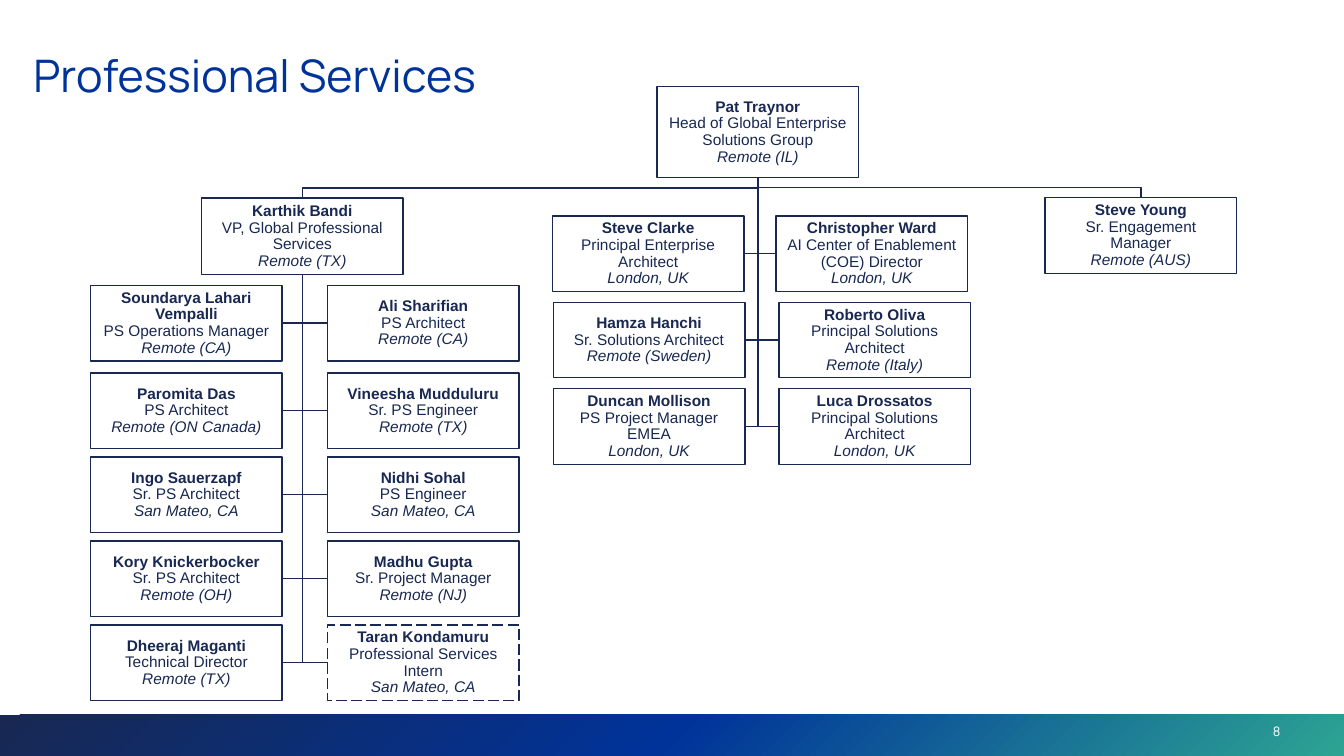
from copy import deepcopy

from pptx import Presentation
from pptx.dml.color import RGBColor
from pptx.enum.dml import MSO_LINE
from pptx.enum.shapes import MSO_CONNECTOR, MSO_SHAPE
from pptx.enum.text import MSO_ANCHOR, PP_ALIGN
from pptx.oxml.ns import qn
from pptx.util import Pt
from lxml import etree

COLORS = {"navy": "182852", "blue": "003399", "teal": "2DA493", "white": "FFFFFF"}
SLIDE_W, SLIDE_H = 960, 540
BAR_H = 29.5
CARD_W, CARD_H = 136.8, 54
BOSS_W = 144
BOTTOM, LEFT, RIGHT, TOP = 2, 1, 3, 0

SERVICES_TOPS = [203.8] + [266.4 + 60 * i for i in range(4)]
SERVICES_LEFTS = [(64.8, 234)] * 5
SERVICES = [
    (("Soundarya Lahari Vempalli", "PS Operations Manager", "Remote (CA)"),
     ("Ali Sharifian", "PS Architect", "Remote (CA)")),
    (("Paromita Das", "PS Architect", "Remote (ON Canada)"),
     ("Vineesha Mudduluru", "Sr. PS Engineer", "Remote (TX)")),
    (("Ingo Sauerzapf", "Sr. PS Architect", "San Mateo, CA"),
     ("Nidhi Sohal", "PS Engineer", "San Mateo, CA")),
    (("Kory Knickerbocker", "Sr. PS Architect", "Remote (OH)"),
     ("Madhu Gupta", "Sr. Project Manager", "Remote (NJ)")),
    (("Dheeraj Maganti", "Technical Director", "Remote (TX)"),
     ("Taran Kondamuru", "Professional Services Intern", "San Mateo, CA")),
]

SOLUTIONS_TOPS = [154.2 + 61.7 * i for i in range(3)]
SOLUTIONS_LEFTS = [(394.6, 554.4)] + [(395.3, 556.4)] * 2
SOLUTIONS = [
    (("Steve Clarke", "Principal Enterprise Architect", "London, UK"),
     ("Christopher Ward", "AI Center of Enablement (COE) Director", "London, UK")),
    (("Hamza Hanchi", "Sr. Solutions Architect", "Remote (Sweden)"),
     ("Roberto Oliva", "Principal Solutions Architect", "Remote (Italy)")),
    (("Duncan Mollison", "PS Project Manager EMEA", "London, UK"),
     ("Luca Drossatos", "Principal Solutions Architect", "London, UK")),
]


def rgb(name):
    return RGBColor.from_string(COLORS[name])


def write(p, text, size=11, font="Arial", color="navy", bold=False, italic=False,
          align=PP_ALIGN.LEFT, spacing=None):
    p.alignment = align
    if spacing:
        p.line_spacing = spacing
    r = p.add_run()
    r.text = text
    r.font.size = Pt(size)
    r.font.name = font
    r.font.bold = bold
    r.font.italic = italic
    r.font.color.rgb = rgb(color)


def set_frame(tf, inset, anchor):
    tf.word_wrap = True
    tf.vertical_anchor = anchor
    tf.margin_left = tf.margin_right = tf.margin_top = tf.margin_bottom = Pt(inset)


def add_title(s, text):
    title = s.shapes.title
    title.left, title.top, title.width, title.height = Pt(16.6), Pt(26.6), Pt(865.4), Pt(60.5)
    set_frame(title.text_frame, 7.2, MSO_ANCHOR.TOP)
    write(title.text_frame.paragraphs[0], text, size=32, font="Manrope", color="blue")


def add_footer(s, number):
    bar = s.shapes.add_shape(MSO_SHAPE.RECTANGLE, 0, Pt(SLIDE_H - BAR_H),
                             Pt(SLIDE_W), Pt(BAR_H))
    bar.shadow.inherit = False
    bar.line.fill.background()
    bar.fill.gradient()
    bar.fill.gradient_angle = 315
    stop_list = bar._element.spPr.find(".//" + qn("a:gsLst"))
    stop_list.insert(1, deepcopy(stop_list[0]))
    for i, (stop, name) in enumerate(zip(bar.fill.gradient_stops, ("navy", "blue", "teal"))):
        stop.position = i / 2
        stop.color.rgb = rgb(name)
    box = s.shapes.add_textbox(Pt(902.2), Pt(511.2), Pt(57.6), Pt(28.8))
    set_frame(box.text_frame, 7.2, MSO_ANCHOR.TOP)
    write(box.text_frame.paragraphs[0], number, size=9.3, font="Manrope", color="white")


def add_card(s, person, left, top, width=CARD_W, height=CARD_H, dashed=False):
    sp = s.shapes.add_shape(MSO_SHAPE.RECTANGLE, Pt(left), Pt(top), Pt(width), Pt(height))
    sp.shadow.inherit = False
    sp.fill.solid()
    sp.fill.fore_color.rgb = rgb("white")
    sp.line.color.rgb = rgb("navy")
    sp.line.width = Pt(1)
    if dashed:
        sp.line.dash_style = MSO_LINE.LONG_DASH
    tf = sp.text_frame
    set_frame(tf, 3.6, MSO_ANCHOR.MIDDLE)
    tf.margin_left = tf.margin_right = Pt(7.2)
    for i, text in enumerate(person):
        p = tf.add_paragraph() if i else tf.paragraphs[0]
        write(p, text, bold=i == 0, italic=i == 2, align=PP_ALIGN.CENTER, spacing=0.9)
    return sp


def add_elbow(s, boss, report, site):
    x1, y1 = boss.left + boss.width // 2, boss.top + boss.height
    x2 = report.left + {LEFT: 0, TOP: report.width // 2, RIGHT: report.width}[site]
    y2 = report.top + (0 if site == TOP else report.height // 2)
    line = s.shapes.add_connector(MSO_CONNECTOR.ELBOW, x1, y1, x2, y2)
    line.begin_connect(boss, BOTTOM)
    line.end_connect(report, site)
    drop, reach = y2 - y1, abs(x2 - x1)
    line.left, line.top = (x1 + x2 - drop) // 2, (y1 + y2 - reach) // 2
    line.width, line.height = drop, reach
    props = line._element.spPr
    xfrm = props.find(qn("a:xfrm"))
    xfrm.set("rot", str((270 if x2 > x1 else 90) * 60000))
    xfrm.set("flipH", "1" if x2 > x1 else "0")
    xfrm.set("flipV", "0")
    if site != TOP:
        props.find(qn("a:prstGeom")).set("prst", "bentConnector2")
    line.line.color.rgb = rgb("navy")
    line.line.width = Pt(1)
    etree.SubElement(props, qn("a:effectLst"))


def add_team(s, boss, team, tops, lefts, intern=None):
    for pair, top, pair_lefts in zip(team, tops, lefts):
        for person, left, site in zip(pair, pair_lefts, (RIGHT, LEFT)):
            card = add_card(s, person, left, top, dashed=person[0] == intern)
            add_elbow(s, boss, card, site)


def main():
    prs = Presentation()
    prs.slide_width, prs.slide_height = Pt(SLIDE_W), Pt(SLIDE_H)
    s = prs.slides.add_slide(prs.slide_layouts[5])
    add_footer(s, "8")
    add_title(s, "Professional Services")
    head = add_card(s, ("Pat Traynor", "Head of Global Enterprise Solutions Group", "Remote (IL)"),
                    469.4, 62, BOSS_W, 64.8)
    vp = add_card(s, ("Karthik Bandi", "VP, Global Professional Services", "Remote (TX)"),
                  144, 141.6, BOSS_W, 54.7)
    manager = add_card(s, ("Steve Young", "Sr. Engagement Manager", "Remote (AUS)"), 746.6, 141.2)
    for report in (vp, manager):
        add_elbow(s, head, report, TOP)
    add_team(s, vp, SERVICES, SERVICES_TOPS, SERVICES_LEFTS, intern="Taran Kondamuru")
    add_team(s, head, SOLUTIONS, SOLUTIONS_TOPS, SOLUTIONS_LEFTS)
    prs.save("out.pptx")


if __name__ == "__main__":
    main()
